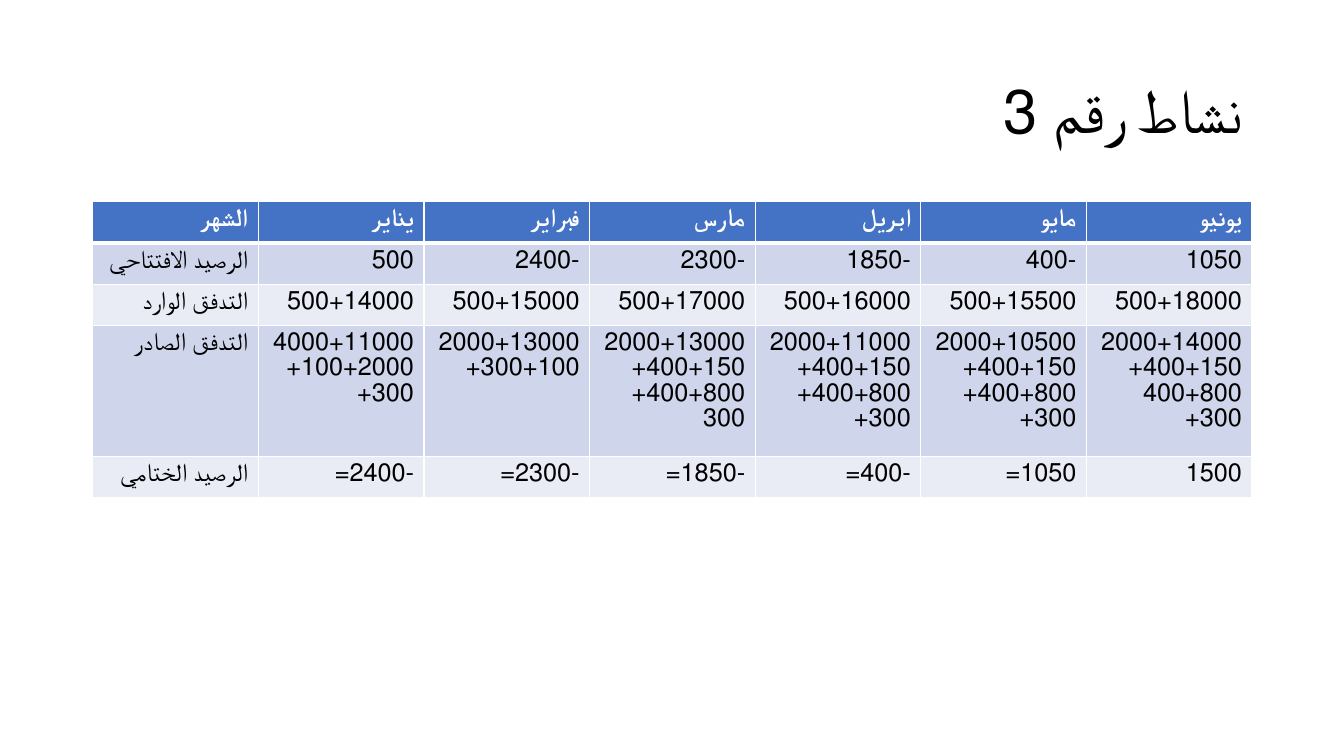
from dataclasses import dataclass

from lxml.etree import SubElement
from pptx import Presentation
from pptx.dml.color import RGBColor
from pptx.enum.text import MSO_ANCHOR, PP_ALIGN
from pptx.oxml.ns import qn
from pptx.slide import Slide
from pptx.table import _Cell as Cell
from pptx.text.text import TextFrame
from pptx.util import Inches, Pt

WHITE = RGBColor(0xFF, 0xFF, 0xFF)
BLACK = RGBColor(0x00, 0x00, 0x00)
HEADER_BLUE = RGBColor(0x44, 0x72, 0xC4)
DARK_BAND = RGBColor(0xCF, 0xD5, 0xEA)
LIGHT_BAND = RGBColor(0xE9, 0xEB, 0xF5)

SLIDE_WIDTH, SLIDE_HEIGHT = Inches(13.33), Inches(7.5)
MARGIN = Inches(0.92)
CONTENT_WIDTH = Inches(11.5)
TITLE_TOP, TITLE_HEIGHT = Inches(0.4), Inches(1.45)
TABLE_TOP, ROW_HEIGHT = Inches(2), Inches(0.41)

TITLE_FORMAT = {"name": "Calibri", "size": Pt(44)}
HEADER_FORMAT = {"name": "Calibri", "size": Pt(18), "bold": True}
BODY_FORMAT = {"name": "Calibri", "size": Pt(18), "bold": False}


@dataclass(frozen=True)
class CashRow:
    cells: tuple[str, ...]
    fill: RGBColor
    color: RGBColor
    font_format: dict
    bottom_border: float = 1


HEADER = CashRow(
    ("الشهر", "يناير", "فبراير", "مارس", "ابريل", "مايو", "يونيو"),
    HEADER_BLUE, WHITE, HEADER_FORMAT, 3,
)
BODY = (
    ("الرصيد الافتتاحي", "500", "-2400", "-2300", "-1850", "-400", "1050"),
    ("التدفق الوارد", "500+14000", "500+15000", "500+17000",
     "500+16000", "500+15500", "500+18000"),
    ("التدفق الصادر",
     "4000+11000\n100+2000+\n300+",
     "2000+13000\n300+100+",
     "2000+13000\n400+150+\n400+800+\n300",
     "2000+11000\n400+150+\n400+800+\n300+",
     "2000+10500\n400+150+\n400+800+\n300+",
     "2000+14000\n400+150+\n400+800\v300+"),
    ("الرصيد الختامي", "-2400=", "-2300=", "-1850=", "-400=", "1050=", "1500"),
)
ROWS = (HEADER, *(
    CashRow(cells, (DARK_BAND, LIGHT_BAND)[index % 2], BLACK, BODY_FORMAT)
    for index, cells in enumerate(BODY)
))


def write_rtl(frame: TextFrame, text: str, font_format: dict, color: RGBColor) -> None:
    frame.text = text
    for para in frame.paragraphs:
        para.alignment = PP_ALIGN.RIGHT
        para._p.get_or_add_pPr().set("rtl", "1")
        for span in para.runs:
            for name, value in font_format.items():
                setattr(span.font, name, value)
            span.font.color.rgb = color


def set_borders(cell: Cell, top: float, bottom: float) -> None:
    properties = cell._tc.get_or_add_tcPr()
    for side, width in {"L": 1, "R": 1, "T": top, "B": bottom}.items():
        line = SubElement(properties, qn(f"a:ln{side}"), w=str(Pt(width)))
        fill = SubElement(line, qn("a:solidFill"))
        SubElement(fill, qn("a:srgbClr"), val=str(WHITE))


def add_title(page: Slide, text: str) -> None:
    box = page.shapes.add_textbox(MARGIN, TITLE_TOP, CONTENT_WIDTH, TITLE_HEIGHT)
    frame = box.text_frame
    frame.word_wrap = True
    frame.vertical_anchor = MSO_ANCHOR.MIDDLE
    write_rtl(frame, text, TITLE_FORMAT, BLACK)
    frame.paragraphs[0].line_spacing = 0.9


def add_cash_table(page: Slide, rows: tuple[CashRow, ...]) -> None:
    table = page.shapes.add_table(
        len(rows), len(HEADER.cells), MARGIN, TABLE_TOP,
        CONTENT_WIDTH, ROW_HEIGHT * len(rows),
    ).table
    top_border = 1
    for row_index, row in enumerate(rows):
        for column_index, text in enumerate(row.cells):
            cell = table.cell(row_index, column_index)
            set_borders(cell, top_border, row.bottom_border)
            cell.fill.solid()
            cell.fill.fore_color.rgb = row.fill
            write_rtl(cell.text_frame, text, row.font_format, row.color)
        top_border = row.bottom_border


def main() -> None:
    deck = Presentation()
    deck.slide_width, deck.slide_height = SLIDE_WIDTH, SLIDE_HEIGHT
    page = deck.slides.add_slide(deck.slide_layouts[6])
    add_title(page, "نشاط رقم 3")
    add_cash_table(page, ROWS)
    deck.save("out.pptx")


if __name__ == "__main__":
    main()
